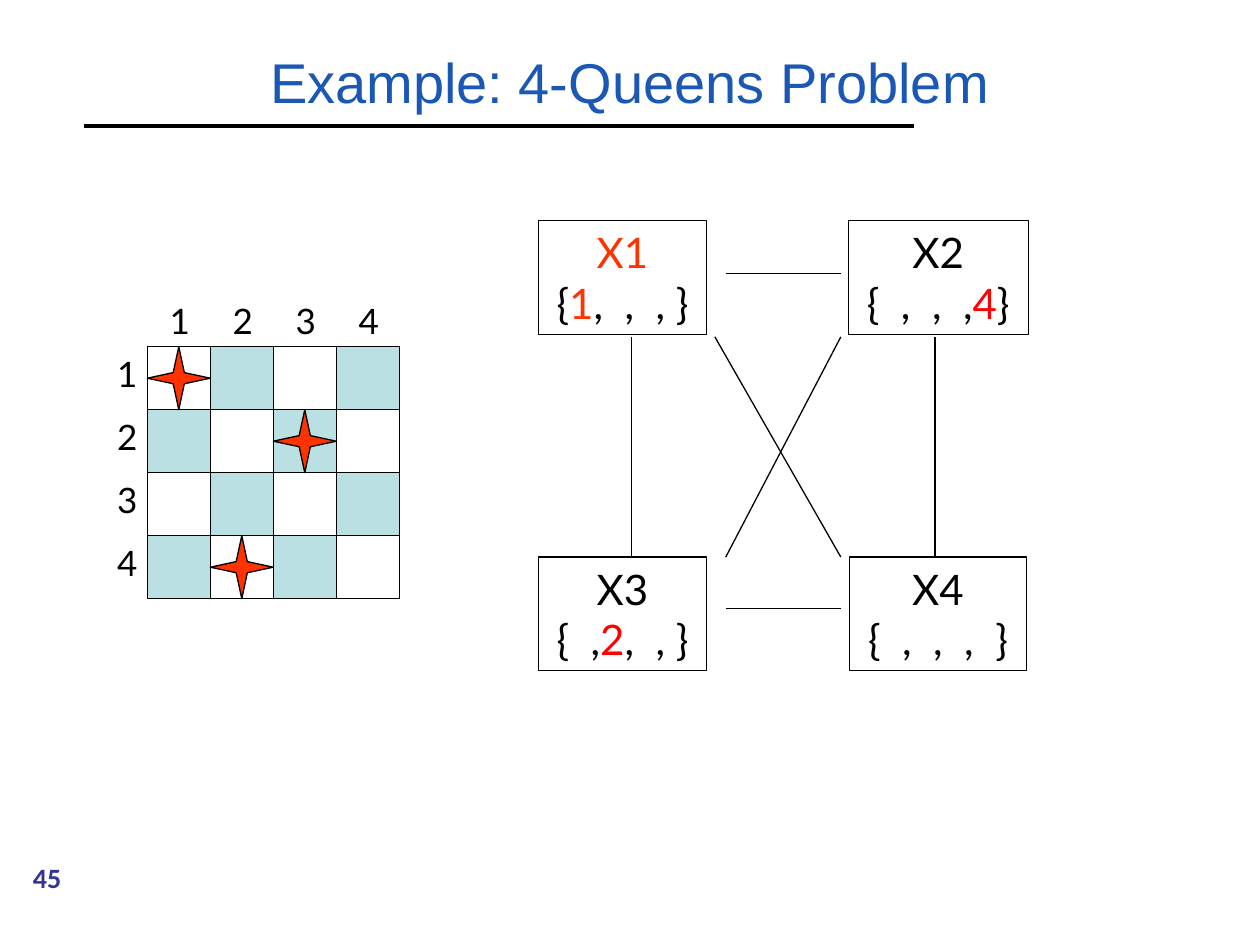
from pptx import Presentation
from pptx.dml.color import RGBColor
from pptx.enum.shapes import MSO_CONNECTOR, MSO_SHAPE
from pptx.enum.text import MSO_ANCHOR, PP_ALIGN
from pptx.oxml.ns import qn
from pptx.util import Cm, Pt
from lxml import etree

BLACK = RGBColor(0x00, 0x00, 0x00)
WHITE = RGBColor(0xFF, 0xFF, 0xFF)
TITLE_BLUE = RGBColor(0x1B, 0x57, 0xB5)
NUMBER_BLUE = RGBColor(0x33, 0x33, 0x99)
SQUARE_TEAL = RGBColor(0xBB, 0xE0, 0xE3)
QUEEN_RED = RGBColor(0xFF, 0x33, 0x00)
VALUE_RED = RGBColor(0xFF, 0x00, 0x00)

STRAIGHT = MSO_CONNECTOR.STRAIGHT
RECTANGLE = MSO_SHAPE.RECTANGLE
OVAL = MSO_SHAPE.OVAL
STAR = MSO_SHAPE.STAR_4_POINT
MIDDLE = MSO_ANCHOR.MIDDLE
TOP = MSO_ANCHOR.TOP
LEFT = PP_ALIGN.LEFT
CENTER = PP_ALIGN.CENTER

TITLE_FONT = {"name": "Arial", "size": Pt(32)}
NUMBER_FONT = {"name": "Calibri", "size": Pt(16), "bold": True}
LABEL_FONT = {"name": "Lato", "size": Pt(20)}
NODE_FONT = {"name": "Lato", "size": Pt(24)}

BOARD_SIZE = 4
QUEENS = [(0, 0), (3, 1), (1, 2)]
NODES = [
    (0, 0, 3.4, [[("X1", QUEEN_RED)],
                 [("{", BLACK), ("1", QUEEN_RED), (",  ,  , }", BLACK)]]),
    (6.25, 0, 3.63, [[("X2", BLACK)],
                     [("{  ,  ,  ,", BLACK), ("4", VALUE_RED), ("}", BLACK)]]),
    (0, 6.78, 3.4, [[("X3", BLACK)],
                    [("{  ,", BLACK), ("2", VALUE_RED), (",  , }", BLACK)]]),
    (6.27, 6.78, 3.58, [[("X4", BLACK)], [("{  ,  ,  ,  }", BLACK)]]),
]
EDGES = [
    (3.78, 1.07, 6.1, 1.07),
    (1.88, 2.34, 1.88, 6.78),
    (3.78, 7.82, 6.1, 7.82),
    (8, 2.34, 8, 6.78),
    (3.56, 2.34, 6.1, 6.78),
    (6.1, 2.34, 3.78, 6.78),
]


def write_text(shape, lines, font, align, anchor=TOP, wrap=False):
    """Fill a shape with lines, each a list of (text, colour) runs."""
    frame = shape.text_frame
    for name, value in {"word_wrap": wrap, "vertical_anchor": anchor}.items():
        setattr(frame, name, value)
    for index, runs in enumerate(lines):
        paragraph = frame.add_paragraph() if index else frame.paragraphs[0]
        paragraph.alignment = align
        for text, color in runs:
            run = paragraph.add_run()
            run.text = text
            for name, value in font.items():
                setattr(run.font, name, value)
            run.font.color.rgb = color


def add_text(slide, left, top, width, height, text, color, font, align, **options):
    """Add a text box holding one line."""
    box = slide.shapes.add_textbox(Cm(left), Cm(top), Cm(width), Cm(height))
    write_text(box, [[(text, color)]], font, align, **options)


def add_figure(slide, kind, left, top, width, height, fill=None, line=BLACK, weight=0.75):
    """Add an outlined preset shape, unfilled when no fill is given."""
    shape = slide.shapes.add_shape(kind, Cm(left), Cm(top), Cm(width), Cm(height))
    shape.shadow.inherit = False
    if fill is None:
        shape.fill.background()
    else:
        shape.fill.solid()
        shape.fill.fore_color.rgb = fill
    shape.line.color.rgb = line
    shape.line.width = Pt(weight)
    return shape


def add_line(slide, start_x, start_y, end_x, end_y, weight=0.75):
    """Add a straight black line without shadow."""
    line = slide.shapes.add_connector(
        STRAIGHT, Cm(start_x), Cm(start_y), Cm(end_x), Cm(end_y))
    line.line.color.rgb = BLACK
    line.line.width = Pt(weight)
    etree.SubElement(line._element.spPr, qn("a:effectLst"))


def add_page_number(slide, left, top, width, height):
    """Add the slide number in its white oval."""
    oval = add_figure(slide, OVAL, left, top, width, height, WHITE, WHITE, 2)
    for side in ("left", "top", "right", "bottom"):
        setattr(oval.text_frame, f"margin_{side}", 0)
    write_text(oval, [[("45", NUMBER_BLUE)]], NUMBER_FONT, CENTER, MIDDLE, True)


def add_title(slide, left, top, width, height):
    """Add the title and the rule beneath it."""
    add_line(slide, left + 0.43, top + 2.49, left + 17.15, top + 2.49, 2.25)
    add_text(slide, left, top, width, height, "Example: 4-Queens Problem",
             TITLE_BLUE, TITLE_FONT, CENTER, anchor=MIDDLE, wrap=True)


def add_board(slide, left, top, size):
    """Add the chessboard with its row and column labels and queens."""
    cell = size / BOARD_SIZE
    add_figure(slide, RECTANGLE, left, top, size, size)
    for row in range(BOARD_SIZE):
        for column in range(BOARD_SIZE):
            if (row + column) % 2:
                add_figure(slide, RECTANGLE, left + column * cell,
                           top + row * cell, cell, cell, SQUARE_TEAL)
    for index in range(BOARD_SIZE):
        step = index * cell
        for x, y in ((left - 0.86, top + step), (left + 0.2 + step, top - 1.07)):
            add_text(slide, x, y, 0.91, 1.12, str(index + 1), BLACK, LABEL_FONT, LEFT)
    for row, column in QUEENS:
        add_figure(slide, STAR, left + column * cell, top + row * cell,
                   cell, cell, QUEEN_RED)


def add_constraint_graph(slide, left, top):
    """Add the variables with their domains and the edges between them."""
    for x, y, width, lines in NODES:
        node = add_figure(slide, RECTANGLE, left + x, top + y, width, 2.29)
        write_text(node, lines, NODE_FONT, CENTER)
    for start_x, start_y, end_x, end_y in EDGES:
        add_line(slide, left + start_x, top + start_y, left + end_x, top + end_y)


def main():
    """Build and save the slide."""
    presentation = Presentation()
    presentation.slide_width = Cm(25.4)
    presentation.slide_height = Cm(19.05)
    slide = presentation.slides.add_slide(presentation.slide_layouts[6])
    add_page_number(slide, 0, 17.27, 1.9, 0.84)
    add_title(slide, 1.27, 0.05, 22.86, 3.18)
    add_board(slide, 2.97, 6.99, 5.08)
    add_constraint_graph(slide, 10.85, 4.45)
    presentation.save("out.pptx")


if __name__ == "__main__":
    main()
